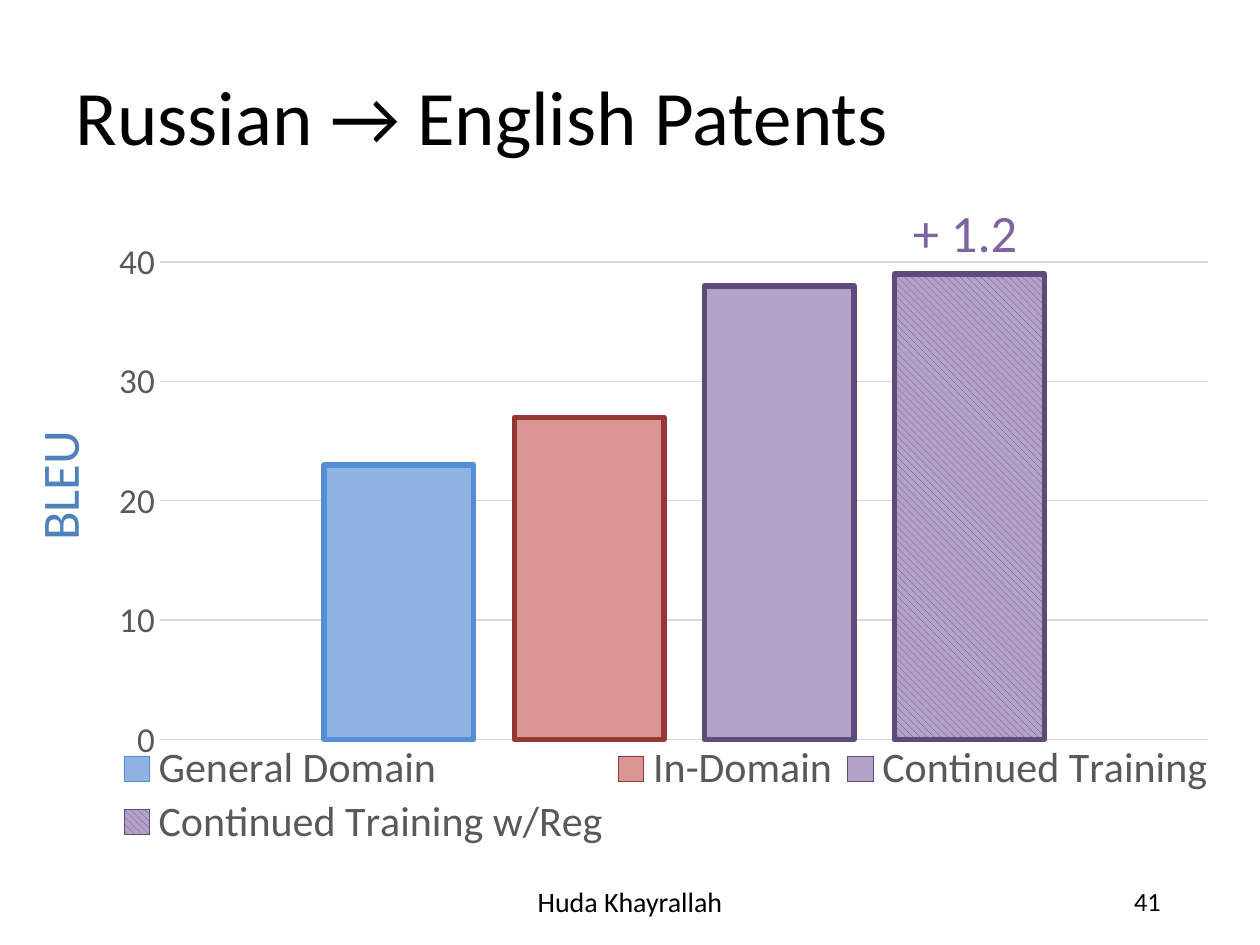
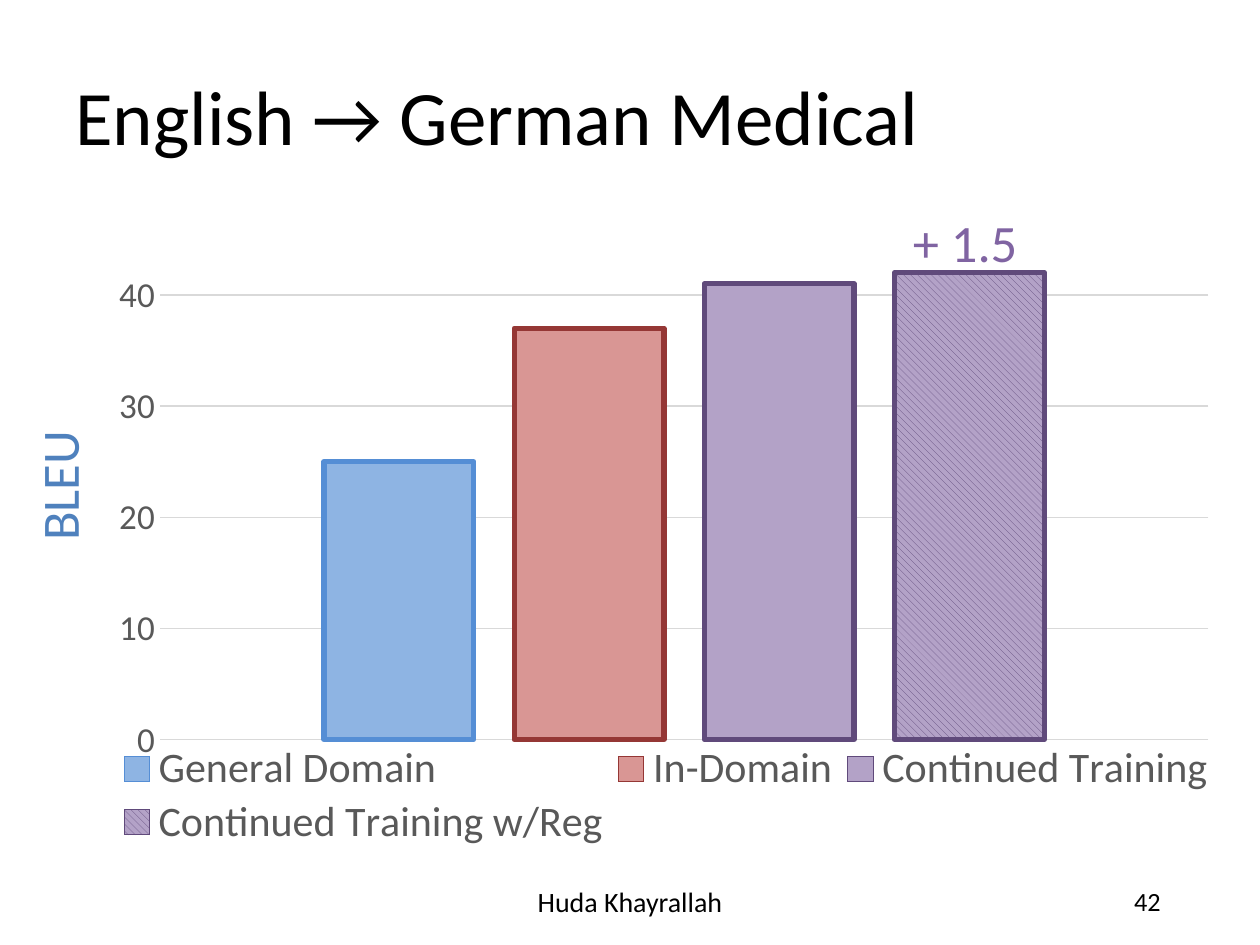
from dataclasses import dataclass

import lxml.etree
import pptx
import pptx.chart.chart
import pptx.chart.data
import pptx.dml.color
import pptx.enum.chart
import pptx.enum.dml
import pptx.enum.text
import pptx.oxml.ns
import pptx.slide
import pptx.util

Inches = pptx.util.Inches
Align = pptx.enum.text.PP_ALIGN
Anchor = pptx.enum.text.MSO_ANCHOR


@dataclass(frozen=True)
class Theme:
    """Colours and type sizes shared by the slides."""

    font: str = "Calibri"
    ink: str = "000000"
    label: str = "595959"
    grid: str = "D9D9D9"
    metric: str = "4F81BD"
    gain: str = "8064A2"
    title_size: int = 44
    callout_size: int = 30
    legend_size: int = 24
    axis_size: int = 20
    footer_size: int = 16
    number_size: int = 15
    outline: float = 3
    grid_line: float = 0.75


@dataclass(frozen=True)
class Box:
    """A rectangle in inches."""

    left: float
    top: float
    width: float
    height: float

    def lengths(self) -> tuple[pptx.util.Length, ...]:
        """Return the four lengths in the order shapes expect."""
        return tuple(Inches(side) for side in (self.left, self.top, self.width, self.height))


@dataclass(frozen=True)
class TextStyle:
    """The look of one kind of text."""

    size: int
    colour: str
    align: Align = Align.LEFT
    anchor: Anchor = Anchor.TOP
    line_spacing: float | None = None
    rotation: int = 0


@dataclass(frozen=True)
class System:
    """A translation system and its bar colours."""

    name: str
    fill: str
    outline: str
    hatched: bool = False


@dataclass(frozen=True)
class Result:
    """The content of one results slide."""

    title: str
    scores: tuple[int, ...]
    axis_top: int
    plot_top: float
    gain: str
    gain_top: float
    number: int


THEME = Theme()
TITLE = TextStyle(THEME.title_size, THEME.ink, anchor=Anchor.MIDDLE, line_spacing=0.9)
METRIC = TextStyle(THEME.callout_size, THEME.metric, rotation=270)
GAIN = TextStyle(THEME.callout_size, THEME.gain, Align.CENTER)
FOOTER = TextStyle(THEME.footer_size, THEME.ink, Align.CENTER, Anchor.MIDDLE)
NUMBER = TextStyle(THEME.number_size, THEME.ink, Align.RIGHT, Anchor.MIDDLE)

CHART_BOX = Box(0.77, 1.81, 9, 4.95)
LEGEND_BOX = Box(0.86, 5.88, 8.85, 0.87)
PLOT_LEFT, PLOT_WIDTH, PLOT_BOTTOM = 1.27, 8.32, 5.87

SYSTEMS = (
    System("General Domain", "8EB4E3", "558ED5"),
    System("In-Domain", "D99694", "953735"),
    System("Continued Training", "B3A2C7", "604A7B"),
    System("Continued Training w/Reg", "B3A2C7", "604A7B", hatched=True),
)
RESULTS = (
    Result("Russian → English Patents", (23, 27, 38, 39), 40, 2.08, "+ 1.2", 1.54, 41),
    Result("English → German Medical", (25, 37, 41, 42), 45, 1.9, "+ 1.5", 1.62, 42),
)


def rgb(colour: str) -> pptx.dml.color.RGBColor:
    """Turn a hex string into a colour."""
    return pptx.dml.color.RGBColor.from_string(colour)


def set_font(font: pptx.text.text.Font, size: int, colour: str) -> None:
    """Apply the theme typeface with a size and colour."""
    font.name = THEME.font
    font.size = pptx.util.Pt(size)
    font.color.rgb = rgb(colour)


def add_text(page: pptx.slide.Slide, words: str, area: Box, style: TextStyle) -> None:
    """Add a one-line text box."""
    box = page.shapes.add_textbox(*area.lengths())
    box.rotation = style.rotation
    frame = box.text_frame
    frame.word_wrap = True
    frame.vertical_anchor = style.anchor
    para = frame.paragraphs[0]
    para.alignment = style.align
    para.line_spacing = style.line_spacing
    span = para.add_run()
    span.text = words
    set_font(span.font, style.size, style.colour)


def place_part(part: lxml.etree._Element, area: Box, inner: bool = False) -> None:
    """Pin a chart part to an area of the slide."""
    qn = pptx.oxml.ns.qn
    for old in part.findall(qn("c:layout")):
        part.remove(old)
    layout = lxml.etree.Element(qn("c:layout"))
    manual = lxml.etree.SubElement(layout, qn("c:manualLayout"))
    settings = {"layoutTarget": "inner"} if inner else {}
    settings |= {
        "xMode": "edge",
        "yMode": "edge",
        "x": (area.left - CHART_BOX.left) / CHART_BOX.width,
        "y": (area.top - CHART_BOX.top) / CHART_BOX.height,
        "w": area.width / CHART_BOX.width,
        "h": area.height / CHART_BOX.height,
    }
    for name, value in settings.items():
        lxml.etree.SubElement(manual, qn(f"c:{name}")).set("val", str(value))
    position = part.find(qn("c:legendPos"))
    if position is None:
        part.insert(0, layout)
    else:
        position.addnext(layout)


def style_bars(plot: pptx.chart.plot.BarPlot) -> None:
    """Colour and space the bars."""
    plot.gap_width = 219
    plot.overlap = -27
    plot.vary_by_categories = False
    for series, system in zip(plot.series, SYSTEMS):
        series.invert_if_negative = False
        fill, line = series.format.fill, series.format.line
        if system.hatched:
            fill.patterned()
            fill.pattern = pptx.enum.dml.MSO_PATTERN.WIDE_DOWNWARD_DIAGONAL
            fill.fore_color.rgb = rgb(system.outline)
            fill.back_color.rgb = rgb(system.fill)
        else:
            fill.solid()
            fill.fore_color.rgb = rgb(system.fill)
        line.color.rgb = rgb(system.outline)
        line.width = pptx.util.Pt(THEME.outline)


def style_axes(chart: pptx.chart.chart.Chart, axis_top: int) -> None:
    """Hide the category axis and set up the score axis."""
    chart.category_axis.visible = False
    axis = chart.value_axis
    axis.minimum_scale, axis.maximum_scale, axis.major_unit = 0, axis_top, 10
    axis.major_tick_mark = pptx.enum.chart.XL_TICK_MARK.NONE
    axis.minor_tick_mark = pptx.enum.chart.XL_TICK_MARK.NONE
    axis.format.line.fill.background()
    grid = axis.major_gridlines.format.line
    grid.color.rgb = rgb(THEME.grid)
    grid.width = pptx.util.Pt(THEME.grid_line)
    set_font(axis.tick_labels.font, THEME.axis_size, THEME.label)


def add_scores(page: pptx.slide.Slide, result: Result) -> None:
    """Add the chart comparing the systems."""
    data = pptx.chart.data.CategoryChartData()
    data.categories = ["1"]
    for system, score in zip(SYSTEMS, result.scores):
        data.add_series(system.name, [score])
    kind = pptx.enum.chart.XL_CHART_TYPE.COLUMN_CLUSTERED
    chart = page.shapes.add_chart(kind, *CHART_BOX.lengths(), data).chart
    chart.has_title = False
    set_font(chart.font, 10, THEME.ink)
    style_bars(chart.plots[0])
    style_axes(chart, result.axis_top)
    chart.has_legend = True
    legend = chart.legend
    legend.position = pptx.enum.chart.XL_LEGEND_POSITION.BOTTOM
    legend.include_in_layout = False
    set_font(legend.font, THEME.legend_size, THEME.label)
    plot_box = Box(PLOT_LEFT, result.plot_top, PLOT_WIDTH, PLOT_BOTTOM - result.plot_top)
    place_part(chart._chartSpace.chart.plotArea, plot_box, inner=True)
    place_part(legend._element, LEGEND_BOX)


def add_result(deck: pptx.presentation.Presentation, result: Result) -> None:
    """Add one results slide."""
    page = deck.slides.add_slide(deck.slide_layouts[6])
    add_text(page, result.title, Box(0.5, 0.33, 9, 1.25), TITLE)
    add_scores(page, result)
    add_text(page, "BLEU", Box(-0.09, 3.53, 1.11, 0.61), METRIC)
    add_text(page, result.gain, Box(6.92, result.gain_top, 1.48, 0.61), GAIN)
    add_text(page, "Huda Khayrallah", Box(3.31, 6.95, 3.38, 0.4), FOOTER)
    add_text(page, str(result.number), Box(7.06, 6.95, 2.25, 0.4), NUMBER)


def main() -> None:
    """Build and save the deck."""
    deck = pptx.Presentation()
    deck.slide_width, deck.slide_height = Inches(10), Inches(7.5)
    for result in RESULTS:
        add_result(deck, result)
    deck.save("out.pptx")


if __name__ == "__main__":
    main()
